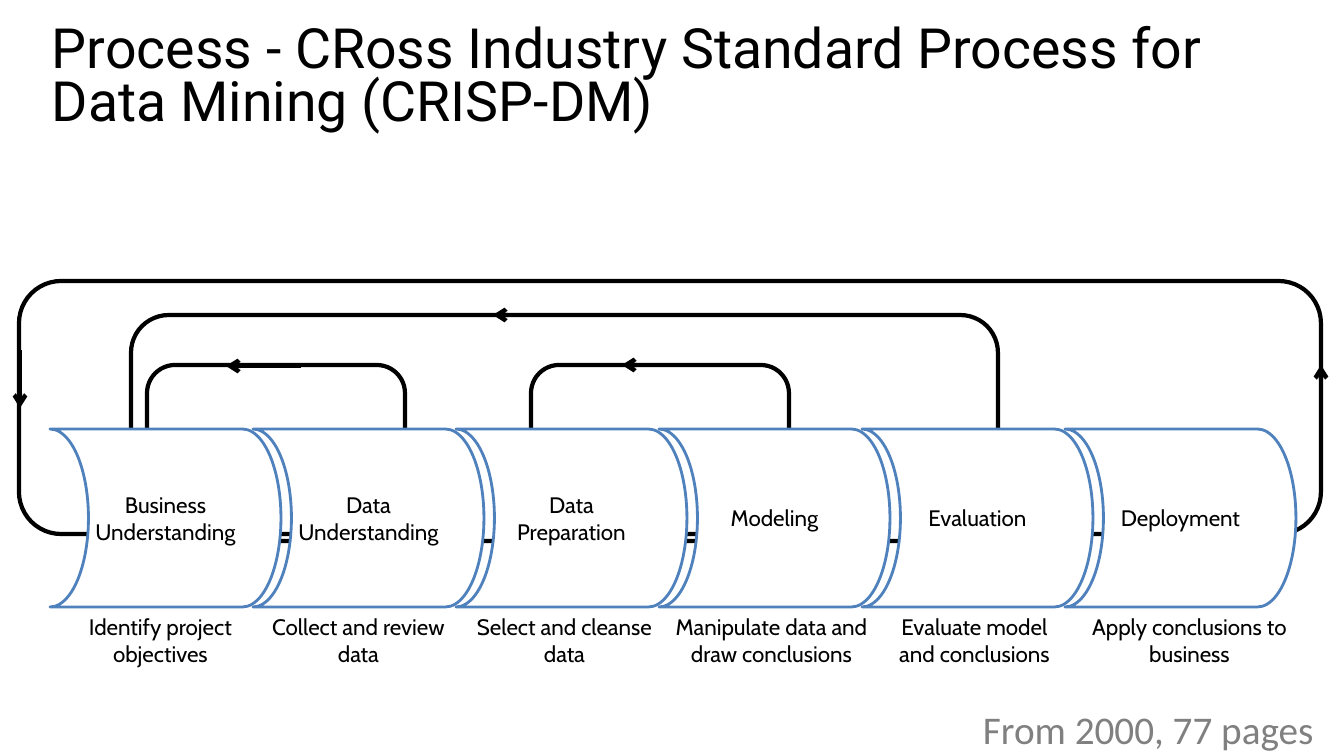
from pptx import Presentation
from pptx.dml.color import RGBColor
from pptx.enum.shapes import MSO_CONNECTOR, MSO_SHAPE
from pptx.enum.text import MSO_ANCHOR, PP_ALIGN
from pptx.oxml.ns import qn
from pptx.util import Pt
from lxml import etree

TITLE = "Process - CRoss Industry Standard Process for Data Mining (CRISP-DM)"
NOTE = "From 2000, 77 pages"
STAGES = [
    ("Business Understanding", "Identify project objectives", 56, 209),
    ("Data Understanding", "Collect and review data", 254, 209),
    ("Data Preparation", "Select and cleanse data", 460, 209),
    ("Modeling", "Manipulate data and draw conclusions", 659, 225),
    ("Evaluation", "Evaluate model and conclusions", 873, 203),
    ("Deployment", "Apply conclusions to business", 1077, 225),
]
LOOPS = [
    (19, 281, 1302, 253),
    (131, 315, 867, 226),
    (147, 365, 258, 169),
    (531, 365, 258, 169),
]
ARROWS = [
    (1321, 423, 1321, 365),
    (20, 350, 20, 408),
    (570, 315, 493, 315),
    (698, 365, 622, 365),
    (301, 366, 226, 366),
]
THEME = {
    "ink": RGBColor(0, 0, 0),
    "paper": RGBColor(255, 255, 255),
    "edge": RGBColor(0x4F, 0x81, 0xBD),
    "gray": RGBColor(0x80, 0x80, 0x80),
    "title": ("Roboto", 39.6),
    "label": ("Cabin", 16),
    "note": ("Calibri", 28),
}
PIPE = MSO_SHAPE.FLOWCHART_STORED_DATA
ROUND = MSO_SHAPE.ROUNDED_RECTANGLE
STRAIGHT = MSO_CONNECTOR.STRAIGHT
TOP, MIDDLE, BOTTOM = MSO_ANCHOR.TOP, MSO_ANCHOR.MIDDLE, MSO_ANCHOR.BOTTOM
LEFT, CENTER = PP_ALIGN.LEFT, PP_ALIGN.CENTER
START, PITCH, ROW, WIDE, HIGH = 50, 203, 429, 231, 178
SCALE = 914400 / 100.8

deck = Presentation()
deck.slide_width, deck.slide_height = round(1344 * SCALE), round(756 * SCALE)
slide = deck.slides.add_slide(deck.slide_layouts[6])


def emu(*sizes):
    return [round(size * SCALE) for size in sizes]


def write(text, box=None, shape=None, style="label", color="ink",
          align=CENTER, anchor=TOP, inset=10, space=None):
    shape = shape or slide.shapes.add_textbox(*emu(*box))
    frame = shape.text_frame
    frame.word_wrap = True
    frame.vertical_anchor = anchor
    frame.margin_left = frame.margin_right = emu(inset)[0]
    frame.margin_top = frame.margin_bottom = emu(5)[0]
    para = frame.paragraphs[0]
    para.alignment = align
    if space:
        para.line_spacing = space
    run = para.add_run()
    run.text = text
    name, size = THEME[style]
    run.font.name, run.font.size = name, Pt(size)
    run.font.color.rgb = THEME[color]


def draw(kind, box, line, width):
    shape = slide.shapes.add_shape(kind, *emu(*box))
    shape.shadow.inherit = False
    shape.fill.solid()
    shape.fill.fore_color.rgb = THEME["paper"]
    shape.line.color.rgb = THEME[line]
    shape.line.width = Pt(width)
    return shape


def arrow(ends):
    link = slide.shapes.add_connector(STRAIGHT, *emu(*ends))
    link.line.color.rgb = THEME["ink"]
    link.line.width = Pt(3)
    tail = etree.SubElement(link.line._get_or_add_ln(), qn("a:tailEnd"))
    tail.set("type", "arrow")
    etree.SubElement(link._element.spPr, qn("a:effectLst"))


write(TITLE, (42, 20, 1270, 117), style="title", align=LEFT,
      anchor=BOTTOM, space=0.8)
for loop in LOOPS:
    draw(ROUND, loop, "ink", 3)
for step, (name, task, left, width) in enumerate(STAGES):
    pipe = draw(PIPE, (START + step * PITCH, ROW, WIDE, HIGH), "edge", 2)
    pipe._element.spPr.xfrm.set("flipH", "1")
    write(name, shape=pipe, anchor=MIDDLE, inset=0)
    write(task, (left, ROW + HIGH + 1, width, 65))
for ends in ARROWS:
    arrow(ends)
write(NOTE, (973, 700, 358, 56), style="note", color="gray", align=LEFT)

deck.save("out.pptx")
